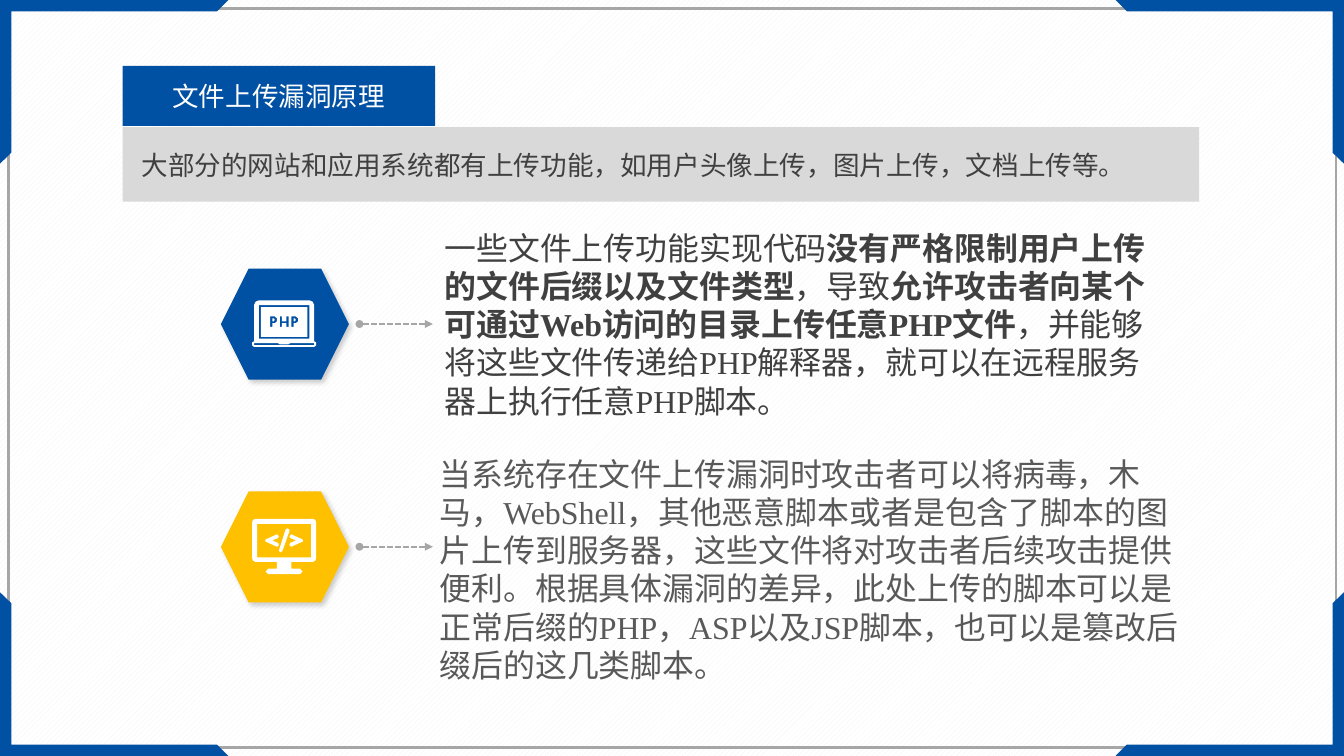
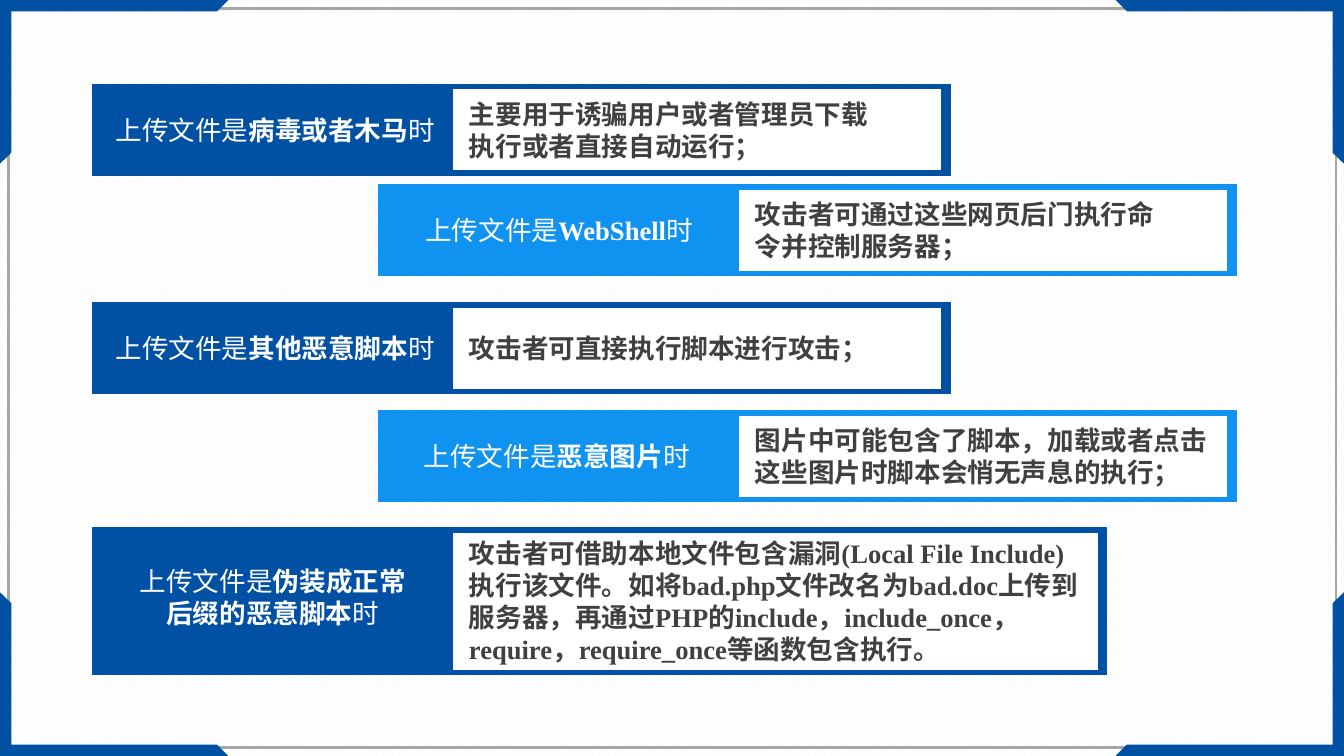
"""Build two slides on file upload flaws."""
from dataclasses import dataclass

from lxml import etree
from pptx import Presentation
from pptx.dml.color import RGBColor
from pptx.enum.dml import MSO_LINE, MSO_PATTERN
from pptx.enum.shapes import MSO_CONNECTOR, MSO_SHAPE
from pptx.enum.text import MSO_ANCHOR, PP_ALIGN
from pptx.oxml.ns import qn
from pptx.util import Cm, Pt

RECT, HEXAGON = MSO_SHAPE.RECTANGLE, MSO_SHAPE.HEXAGON
LEFT, CENTER, JUSTIFY = PP_ALIGN.LEFT, PP_ALIGN.CENTER, PP_ALIGN.JUSTIFY
MIDDLE = MSO_ANCHOR.MIDDLE
DASH = MSO_LINE.SQUARE_DOT
STRIPES = MSO_PATTERN.WIDE_UPWARD_DIAGONAL
STRAIGHT = MSO_CONNECTOR.STRAIGHT
WIDE, HIGH = 35.71, 20.09


@dataclass(frozen=True)
class Theme:
    """Colours, fonts and type sizes of the deck."""

    blue: str = "0050A3"
    sky: str = "1092F1"
    gold: str = "FFC000"
    white: str = "FFFFFF"
    pale: str = "F2F2F2"
    band: str = "D9D9D9"
    rule: str = "A6A6A6"
    ink: str = "404040"
    soft: str = "595959"
    latin: str = "Times New Roman"
    asian: str = "Noto Sans CJK SC"
    label: int = 20
    body: int = 24


THEME = Theme()


def rgb(code):
    """Return the colour for a hex code."""
    return RGBColor.from_string(code)


def paint(shape, fill=None, line=None, weight=1):
    """Set fill and line, and drop the shadow."""
    shape.shadow.inherit = False
    if fill:
        shape.fill.solid()
        shape.fill.fore_color.rgb = rgb(fill)
    else:
        shape.fill.background()
    if line:
        shape.line.color.rgb = rgb(line)
        shape.line.width = Pt(weight)
    else:
        shape.line.fill.background()
    return shape


def block(slide, kind, box, **style):
    """Add a preset shape at a box given in centimetres."""
    return paint(slide.shapes.add_shape(kind, *map(Cm, box)), **style)


def write(shape, text, color, size, align=LEFT, inset=0.25):
    """Fill a shape with text whose starred parts are bold."""
    frame = shape.text_frame
    layout = {"word_wrap": True, "vertical_anchor": MIDDLE,
              "margin_left": Cm(inset), "margin_right": Cm(inset)}
    for name, value in layout.items():
        setattr(frame, name, value)
    para = frame.paragraphs[0]
    para.alignment = align
    para._p.get_or_add_pPr().set("hangingPunct", "0")
    for index, part in enumerate(text.split("*")):
        if not part:
            continue
        run = para.add_run()
        run.text = part
        looks = {"name": THEME.latin, "size": Pt(size), "bold": index % 2 == 1}
        for name, value in looks.items():
            setattr(run.font, name, value)
        run.font.color.rgb = rgb(color)
        asian = etree.SubElement(run.font._element, qn("a:ea"))
        asian.set("typeface", THEME.asian)


def note(slide, box, *args, **style):
    """Add a text box."""
    write(slide.shapes.add_textbox(*map(Cm, box)), *args, **style)


def trace(slide, rings, fill, left=0, top=0):
    """Add an outline of closed rings given in hundredths of a centimetre."""
    pen = slide.shapes.build_freeform(*rings[0][0], scale=Cm(0.01))
    pen.add_line_segments(rings[0][1:])
    for ring in rings[1:]:
        pen.move_to(*ring[0])
        pen.add_line_segments(ring[1:])
    return paint(pen.convert_to_shape(Cm(left), Cm(top)), fill)


def oblong(left, top, right, bottom):
    """Return the four corners of a rectangle."""
    return [(left, top), (right, top), (right, bottom), (left, bottom)]


def flip(ring, width):
    """Mirror a ring from left to right."""
    return [(width - x, y) for x, y in ring]


def shift(ring, step):
    """Move a ring to the right."""
    return [(x + step, y) for x, y in ring]


def laptop():
    """Return the rings of the laptop icon."""
    side = [(85, 0), (18, 0), (9, 4), (5, 13), (5, 109), (0, 112),
            (0, 120), (5, 124), (85, 124)]
    slot = [(5, 114), (5, 119), (165, 119), (165, 114), (101, 114),
            (97, 117), (73, 117), (69, 114)]
    stem = [(48, 43), (60, 43), (66, 48), (66, 56), (60, 61), (54, 61),
            (54, 71), (48, 71)]
    bowl = [(54, 48), (58, 48), (60, 52), (58, 56), (54, 56)]
    cross = [(74, 43), (79, 43), (79, 56), (91, 56), (91, 43), (97, 43),
             (97, 71), (91, 71), (91, 61), (79, 61), (79, 71), (74, 71)]
    return [side + flip(side, 170)[::-1], slot, oblong(18, 13, 152, 102),
            oblong(23, 18, 147, 97), stem, bowl, cross,
            shift(stem, 56), shift(bowl, 56)]


def monitor():
    """Return the rings of the monitor icon."""
    side = [(85, 0), (8, 0), (2, 3), (0, 10), (0, 104), (2, 111), (8, 114),
            (66, 114), (66, 132), (43, 132), (36, 140), (43, 147), (85, 147)]
    angle = [(104, 41), (135, 55), (135, 60), (104, 74), (99, 70),
             (101, 64), (117, 57), (101, 51), (99, 46)]
    slash = [(94, 25), (99, 28), (99, 33), (81, 84), (76, 89), (72, 86),
             (72, 81), (89, 28)]
    return [side + flip(side, 170)[::-1], oblong(13, 13, 157, 102),
            angle, flip(angle, 170), slash]


def border(slide, master):
    """Put the striped ground, thin rule and four corners on the master."""
    ground = master.background.fill
    ground.patterned()
    ground.pattern = STRIPES
    ground.fore_color.rgb = rgb(THEME.pale)
    ground.back_color.rgb = rgb(THEME.white)
    parts = [block(slide, RECT, (0.23, 0.23, WIDE - 0.44, HIGH - 0.46),
                   line=THEME.rule, weight=2)]
    corner = [(0, 0), (607, 0), (577, 30), (30, 30), (30, 406), (0, 435)]
    wide, high = round(WIDE * 100), round(HIGH * 100)
    for ring in (corner, flip(corner, wide)):
        for turn in (ring, [(x, high - y) for x, y in ring]):
            parts.append(trace(slide, [turn], THEME.blue))
    for number, part in enumerate(parts, 100):
        part.element.xpath(".//p:cNvPr")[0].set("id", str(number))
        master.shapes.element.append(part.element)


def arrow(slide, left, right, level):
    """Add a dashed arrow that starts with a dot."""
    link = slide.shapes.add_connector(
        STRAIGHT, Cm(left), Cm(level), Cm(right), Cm(level))
    link.line.color.rgb = rgb(THEME.rule)
    looks = {"width": Pt(1.5), "dash_style": DASH}
    for name, value in looks.items():
        setattr(link.line, name, value)
    props = link.element.spPr
    for tag, kind in (("a:headEnd", "oval"), ("a:tailEnd", "triangle")):
        etree.SubElement(props.find(qn("a:ln")), qn(tag)).set("type", kind)
    etree.SubElement(props, qn("a:effectLst"))


def shade(shape):
    """Give a shape a soft shadow to the lower right."""
    effects = shape.element.spPr.find(qn("a:effectLst"))
    shadow = etree.SubElement(effects, qn("a:outerShdw"))
    looks = {"blurRad": Pt(4), "dist": Pt(3), "dir": 45 * 60000,
             "algn": "tl", "rotWithShape": 0}
    for name, value in looks.items():
        shadow.set(name, str(value))
    color = etree.SubElement(shadow, qn("a:srgbClr"), val="000000")
    etree.SubElement(color, qn("a:alpha"), val="20000")


def point(slide, level, fill, rings, drop, box, text, color):
    """Add a hexagon with its icon, arrow and text."""
    shade(block(slide, HEXAGON, (5.87, level - 1.47, 3.4, 2.95), fill=fill))
    note(slide, box, text, color, THEME.body)
    arrow(slide, 9.55, 11.5, level)
    trace(slide, rings, THEME.white, 6.7, level - drop)


def case(slide, box, fill, label, place, text, width, align=LEFT):
    """Add a coloured bar with a label and a white panel of text."""
    left, top, wide, high = box
    inset, rise, span = place
    block(slide, RECT, box, fill=fill, line=fill)
    block(slide, RECT, (left + 9.56, top + 0.11, wide - 9.78, high - 0.21),
          fill=THEME.white, line=fill)
    note(slide, (left + inset, top - rise, span, high), label, THEME.white,
         THEME.label, align=align)
    note(slide, (left + 9.75, top, width, high), text, THEME.ink, THEME.label)


def cause(slide):
    """Fill the slide on how the flaw comes about."""
    lead = block(slide, RECT, (3.26, 3.38, 28.6, 1.98), fill=THEME.band)
    write(lead, "大部分的网站和应用系统都有上传功能，如用户头像上传，图片上传，文档上传等。",
          THEME.ink, THEME.label, JUSTIFY, 0.5)
    title = block(slide, RECT, (3.26, 1.75, 8.3, 1.6), fill=THEME.blue)
    write(title, "文件上传漏洞原理", THEME.white, THEME.label, CENTER)
    point(slide, 14.53, THEME.gold, monitor(), 0.74, (11.43, 11.92, 20.5, 6.4),
          "当系统存在文件上传漏洞时攻击者可以将病毒，木马，WebShell，其他恶意脚本"
          "或者是包含了脚本的图片上传到服务器，这些文件将对攻击者后续攻击提供便利。"
          "根据具体漏洞的差异，此处上传的脚本可以是正常后缀的PHP，ASP以及JSP脚本，"
          "也可以是篡改后缀后的这几类脚本。", THEME.soft)
    point(slide, 8.61, THEME.blue, laptop(), 0.63, (11.56, 5.92, 19.5, 5.38),
          "一些文件上传功能实现代码*没有严格限制用户上传的文件后缀以及文件类型*，"
          "导致*允许攻击者向某个可通过Web访问的目录上传任意PHP文件*，并能够将这些"
          "文件传递给PHP解释器，就可以在远程服务器上执行任意PHP脚本。", THEME.ink)


def harm(slide):
    """Fill the slide on what each kind of upload can do."""
    near, far = 2.46, 10.06
    bar = (22.79, 2.4)
    rows = [
        ((near, 2.25, *bar), THEME.blue, "上传文件是*病毒或者木马*时", (0.36, 0, 9.2),
         "*主要用于诱骗用户或者管理员下载执行或者直接自动运行；*", 11.2),
        ((far, 4.92, *bar), THEME.sky, "上传文件是*WebShell*时", (0.99, 0, 9.2),
         "*攻击者可通过这些网页后门执行命令并控制服务器；*", 11.2),
        ((near, 8.05, *bar), THEME.blue, "上传文件是*其他恶意脚本*时", (0.36, 0, 9.2),
         "*攻击者可直接执行脚本进行攻击；*", 11.2),
        ((far, 10.92, *bar), THEME.sky, "上传文件是*恶意图片*时", (0.95, 0, 9.2),
         "*图片中可能包含了脚本，加载或者点击这些图片时脚本会悄无声息的执行；*", 13.03),
        ((near, 14.03, 26.95, 3.89), THEME.blue,
         "上传文件是*伪装成正常后缀的恶意脚本*时", (0.89, 0.12, 7.8),
         "*攻击者可借助本地文件包含漏洞(Local File Include)执行该文件。"
         "如将bad.php文件改名为bad.doc上传到服务器，再通过PHP的include，"
         "include_once，require，require_once等函数包含执行。*", 17, CENTER),
    ]
    for row in rows:
        case(slide, *row)


def main():
    """Build and save the deck."""
    deck = Presentation()
    deck.slide_width, deck.slide_height = Cm(WIDE), Cm(HIGH)
    blank = deck.slide_layouts[6]
    first, second = (deck.slides.add_slide(blank) for _ in range(2))
    border(first, deck.slide_master)
    cause(first)
    harm(second)
    deck.save("out.pptx")


if __name__ == "__main__":
    main()
